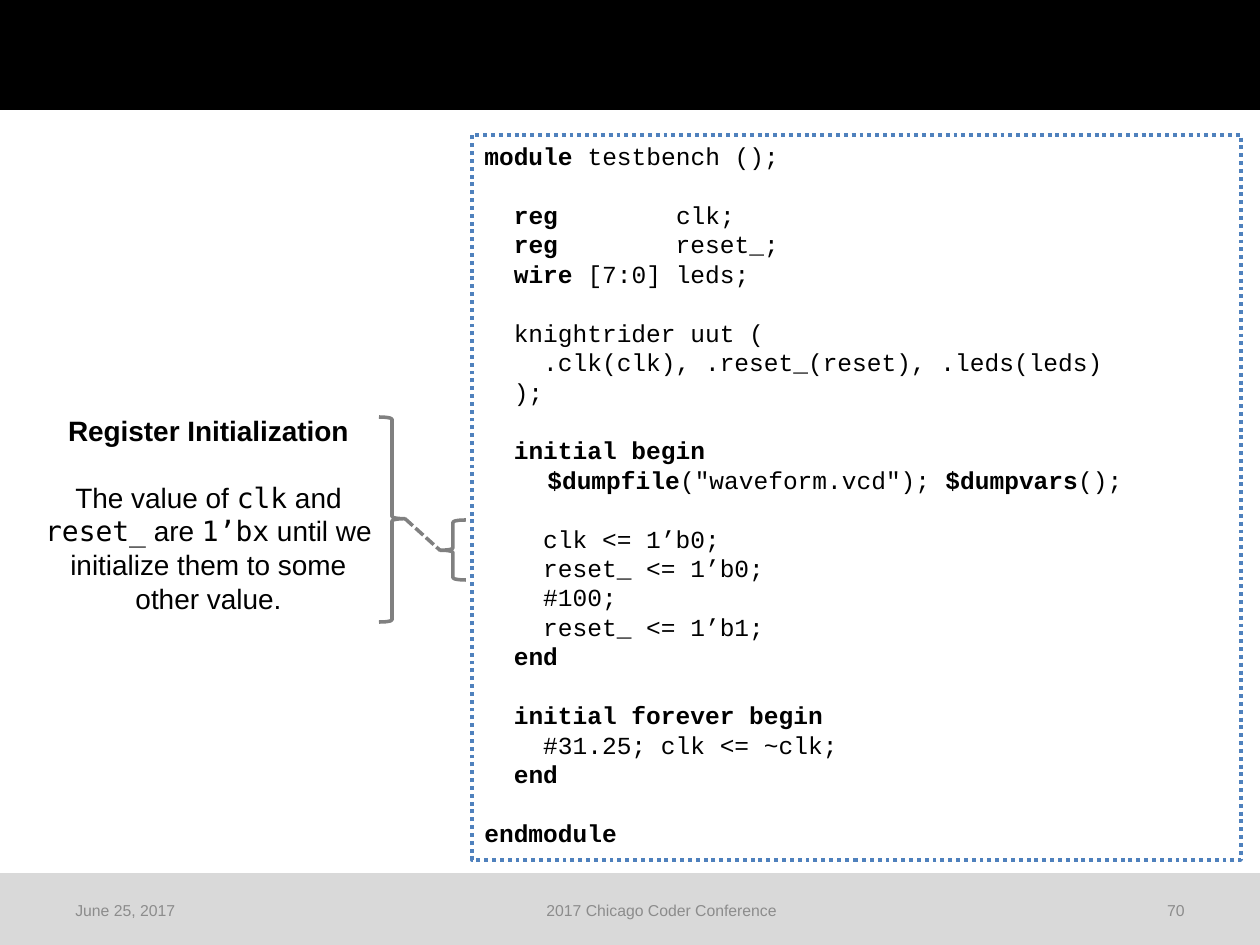
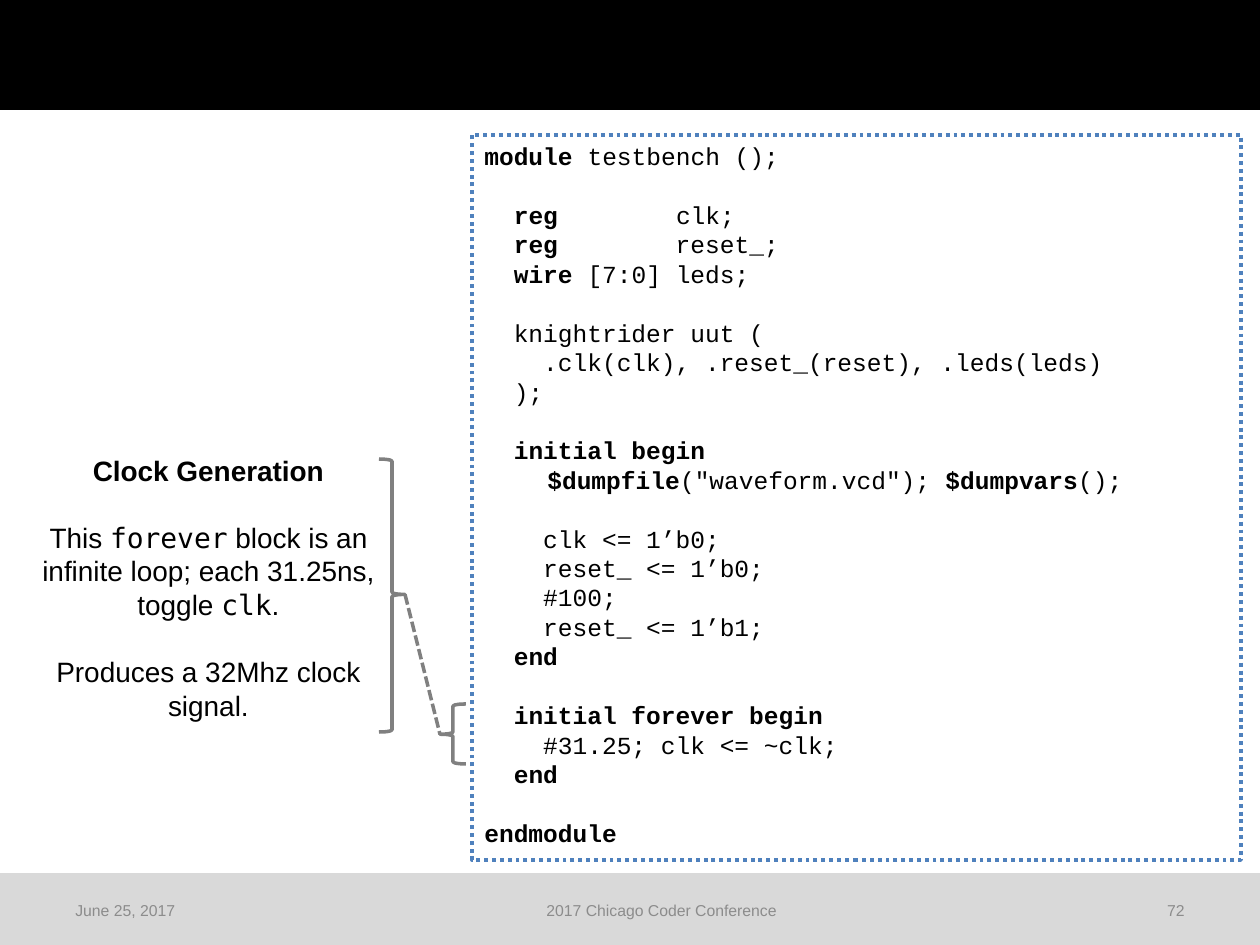
import lxml.etree
import pptx
import pptx.dml.color
import pptx.enum.dml
import pptx.enum.shapes
import pptx.enum.text
import pptx.oxml.ns
import pptx.util

COLORS = {
    "title band": "000000",
    "footer band": "D9D9D9",
    "footer text": "8C8C8C",
    "text": "000000",
    "code border": "4F81BD",
    "callout": "808080",
}
SANS, CODE, MONO = "Arial", "Courier New", "DejaVu Sans Mono"
ALIGN = pptx.enum.text.PP_ALIGN
ANCHOR = pptx.enum.text.MSO_ANCHOR
SHAPE = pptx.enum.shapes.MSO_SHAPE
DASH = pptx.enum.dml.MSO_LINE
LINE_HEIGHT = 1.2
TAB_STOP = 63
BRACE_WIDTH = 26
BRACE_TIP = 0.504

TESTBENCH = """*module *testbench ();

  *reg        *clk;
  *reg*        reset_;
  *wire* [7:0] leds;

  knightrider uut (
    .clk(clk), .reset_(reset), .leds(leds)
  );

  *initial begin*
\t*$dumpfile*("waveform.vcd"); *$dumpvars*();

    clk <= 1’b0;
    reset_ <= 1’b0;
    #100;
    reset_ <= 1’b1;
  *end*

  *initial forever begin*
    #31.25; clk <= ~clk;
  *end*

*endmodule*"""

CALLOUTS = [
    {
        "number": "70",
        "note": """*Register Initialization*

The value of `clk` and `reset_` are `1’bx` until we initialize them to some other value.""",
        "note box": (26, 407, 365, 217),
        "note brace": (417, 205),
        "code brace": (520, 60),
    },
    {
        "number": "72",
        "note": """*Clock Generation*

This `forever` block is an infinite loop; each 31.25ns, toggle `clk`.

Produces a 32Mhz clock signal.""",
        "note box": (26, 447, 365, 285),
        "note brace": (459, 273),
        "code brace": (704, 60),
    },
]


def px(length):
    """Turn pixels into EMU."""
    return pptx.util.Emu(round(length * 914400 / 126))


def color(name):
    """Look up a named colour."""
    return pptx.dml.color.RGBColor.from_string(COLORS[name])


def style_line(line, name, width, dash=None):
    """Set the colour, width and dash of a line."""
    line.color.rgb = color(name)
    line.width = pptx.util.Pt(width)
    if dash is not None:
        line.dash_style = dash


def add_shape(slide, kind, box, fill=None):
    """Add a preset shape without shadow or outline."""
    shape = slide.shapes.add_shape(kind, *map(px, box))
    shape.shadow.inherit = False
    shape.line.fill.background()
    if fill:
        shape.fill.solid()
        shape.fill.fore_color.rgb = color(fill)
    else:
        shape.fill.background()
    return shape


def format_run(run, font, size, name, bold=False):
    """Set the font of one run."""
    run.font.name = font
    run.font.size = pptx.util.Pt(size)
    run.font.color.rgb = color(name)
    run.font.bold = bold


def add_tab_stop(paragraph):
    """Give a paragraph its first tab stop."""
    tabs = lxml.etree.SubElement(
        paragraph._p.get_or_add_pPr(), pptx.oxml.ns.qn("a:tabLst"))
    lxml.etree.SubElement(
        tabs, pptx.oxml.ns.qn("a:tab"), pos=str(px(TAB_STOP)), algn="l")


def write_lines(text_frame, source, font, size, alignment):
    """Write lines where *stars* mark bold, `ticks` mark code and empty lines mark gaps."""
    text_frame.word_wrap = True
    text_frame.vertical_anchor = ANCHOR.TOP
    spacing = pptx.util.Pt(size * LINE_HEIGHT)
    blocks = [block.split("\n") for block in source.split("\n\n")]
    paragraph = None
    for block in blocks:
        for index, line in enumerate(block):
            starts_block = index == 0 and paragraph is not None
            paragraph = text_frame.add_paragraph() if paragraph else text_frame.paragraphs[0]
            if "\t" in line:
                add_tab_stop(paragraph)
            paragraph.alignment = alignment
            paragraph.line_spacing = spacing
            if starts_block:
                paragraph.space_before = spacing
            for star, piece in enumerate(line.split("*")):
                for tick, text in enumerate(piece.split("`")):
                    if text:
                        run = paragraph.add_run()
                        run.text = text
                        format_run(run, MONO if tick % 2 else font, size, "text", star % 2 == 1)


def add_bands(slide, number):
    """Draw the title band, the footer band and the footer texts."""
    add_shape(slide, SHAPE.RECTANGLE, (0, 873, 1260, 72), "footer band")
    add_shape(slide, SHAPE.RECTANGLE, (0, 0, 1260, 110), "title band")
    left = 63
    for text, width, alignment in (
        ("June 25, 2017", 154, ALIGN.LEFT),
        ("2017 Chicago Coder Conference", 889, ALIGN.CENTER),
        (number, 91, ALIGN.RIGHT),
    ):
        text_frame = slide.shapes.add_textbox(*map(px, (left, 885, width, 50))).text_frame
        text_frame.word_wrap = True
        text_frame.vertical_anchor = ANCHOR.MIDDLE
        text_frame.text = text
        paragraph = text_frame.paragraphs[0]
        paragraph.alignment = alignment
        format_run(paragraph.runs[0], SANS, 9, "footer text")
        left += width


def add_code(slide, box):
    """Draw the dotted frame with the testbench code."""
    frame = add_shape(slide, SHAPE.RECTANGLE, box)
    style_line(frame.line, "code border", 2.25, DASH.ROUND_DOT)
    write_lines(frame.text_frame, TESTBENCH, CODE, 14, ALIGN.LEFT)


def add_brace(slide, left, top, height, rotation=0):
    """Draw a brace and return the height at which its tip lies."""
    brace = add_shape(slide, SHAPE.LEFT_BRACE, (left, top, BRACE_WIDTH, height))
    brace.adjustments[0] = 0.083
    brace.adjustments[1] = BRACE_TIP
    brace.rotation = rotation
    style_line(brace.line, "callout", 2)
    return top + height * (1 - BRACE_TIP if rotation else BRACE_TIP)


def add_callout(slide, callout, note_brace_left, code_brace_left):
    """Draw a note and join its brace to the brace beside the code."""
    note = slide.shapes.add_textbox(*map(px, callout["note box"]))
    write_lines(note.text_frame, callout["note"], SANS, 16, ALIGN.CENTER)
    code_tip = add_brace(slide, code_brace_left, *callout["code brace"])
    note_tip = add_brace(slide, note_brace_left, *callout["note brace"], rotation=180)
    ends = (note_brace_left + BRACE_WIDTH, note_tip, code_brace_left, code_tip)
    link = slide.shapes.add_connector(
        pptx.enum.shapes.MSO_CONNECTOR.STRAIGHT, *map(px, ends))
    style_line(link.line, "callout", 2, DASH.SQUARE_DOT)
    lxml.etree.SubElement(link._element.spPr, pptx.oxml.ns.qn("a:effectLst"))


def build_slide(presentation, callout):
    """Build one slide of code with a callout."""
    slide = presentation.slides.add_slide(presentation.slide_layouts[6])
    add_bands(slide, callout["number"])
    add_code(slide, (472, 135, 769, 725))
    add_callout(slide, callout, 379, 440)


def main():
    """Build and save the presentation."""
    presentation = pptx.Presentation()
    presentation.slide_width = px(1260)
    presentation.slide_height = px(945)
    for callout in CALLOUTS:
        build_slide(presentation, callout)
    presentation.save("out.pptx")


if __name__ == "__main__":
    main()
